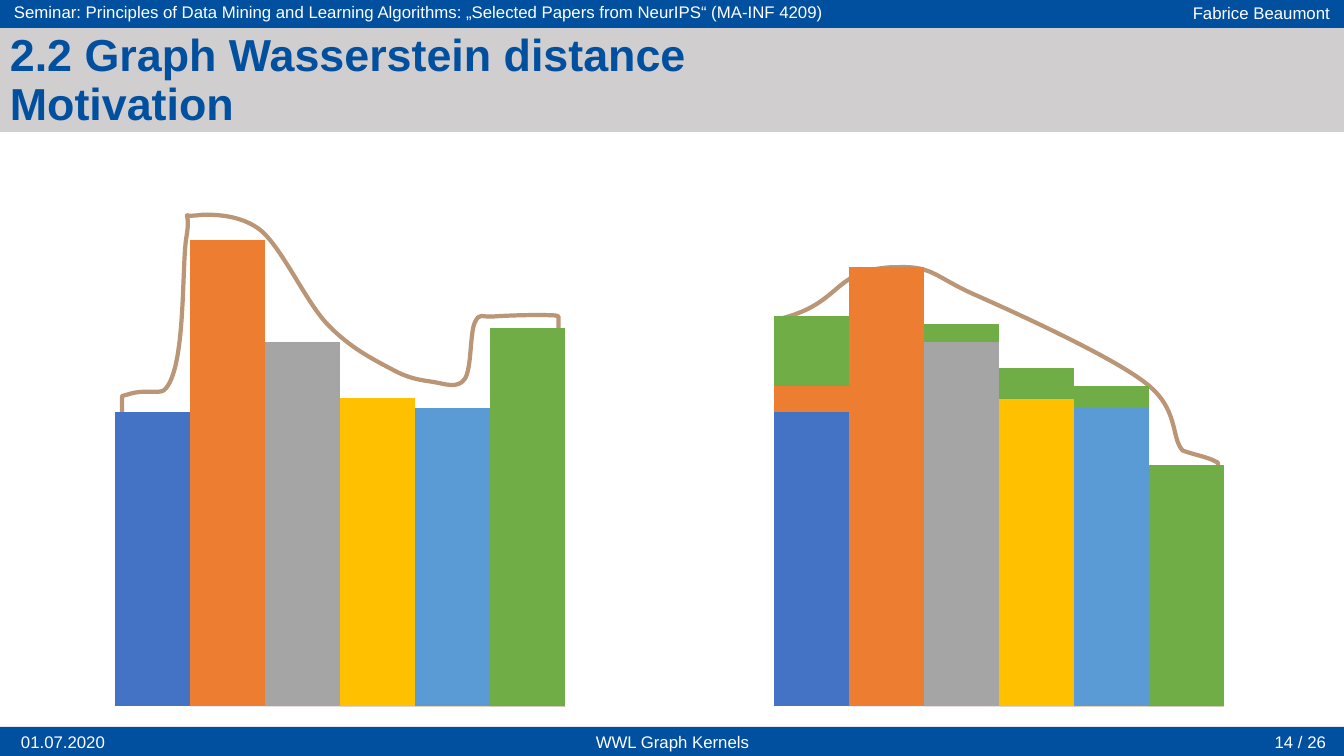
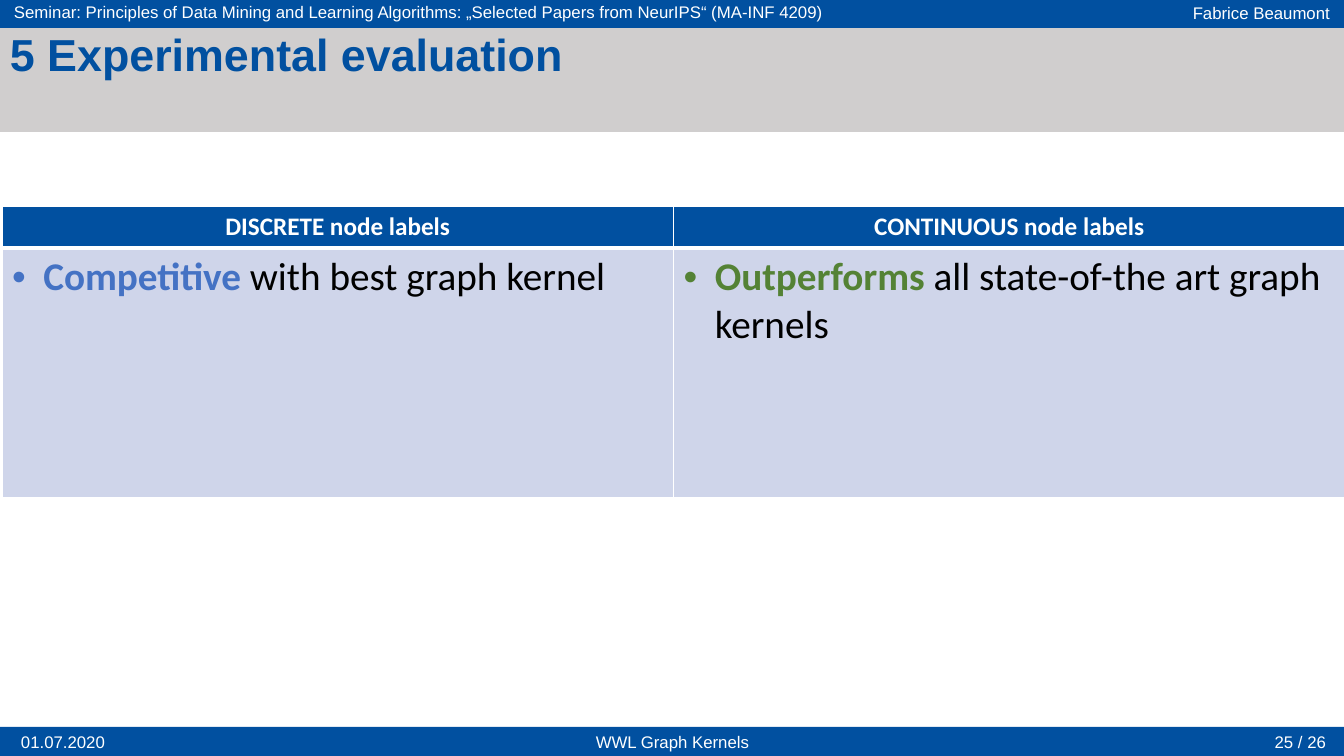
from pptx import Presentation
from pptx.chart.data import CategoryChartData as ChartData
from pptx.dml.color import RGBColor
from pptx.enum.chart import XL_CHART_TYPE as Kind
from pptx.enum.shapes import MSO_SHAPE as Shape
from pptx.enum.text import MSO_ANCHOR as Anchor, PP_ALIGN as Align
from pptx.oxml import parse_xml
from pptx.oxml.ns import nsdecls, qn
from pptx.util import Inches, Pt

BLUE, GREY, WHITE, BLACK = "0150A0", "D0CECE", "FFFFFF", "000000"
TAN, PALE = "BA9576", "CFD5EA"
rgb = RGBColor.from_string


def paint(fill, tone):
    fill.solid()
    fill.fore_color.rgb = rgb(tone)


def label(slide, text, at, align, size=12, tone=WHITE):
    box = slide.shapes.add_textbox(*map(Inches, at))
    frame = box.text_frame
    frame.word_wrap = True
    frame.vertical_anchor = Anchor.MIDDLE
    para = frame.paragraphs[0]
    para.text = text
    para.alignment = align
    font = para.font
    font.name, font.size = "Arial", Pt(size)
    font.color.rgb = rgb(tone)
    return frame


deck = Presentation()
deck.slide_width, deck.slide_height = Inches(13.33), Inches(7.5)

# Shared frame: bands, header, footer, title
BANDS = [(7.21, 0.29, BLUE), (-0.01, 0.29, BLUE), (0.28, 1.03, GREY)]
NOTES = [
    ("Fabrice Beaumont", (10.41, -0.02, 2.88, 0.29), Align.RIGHT),
    ("01.07.2020", (0.02, 7.21, 1.21, 0.29), Align.CENTER),
    ("WWL Graph Kernels", (5.23, 7.21, 2.88, 0.29), Align.CENTER),
    ("Seminar: Principles of Data Mining and Learning Algorithms: "
     "„Selected Papers from NeurIPS“ (MA-INF 4209)",
     (0.04, -0.03, 8.25, 0.29), Align.LEFT),
]
HEADS = [("2.2 Graph Wasserstein distance\nMotivation", 14),
         ("5 Experimental evaluation", 25)]

slides = []
for head, page in HEADS:
    slide = deck.slides.add_slide(deck.slide_layouts[6])
    for top, high, tone in BANDS:
        band = slide.shapes.add_shape(
            Shape.RECTANGLE, 0, Inches(top), deck.slide_width, Inches(high))
        band.shadow.inherit = False
        paint(band.fill, tone)
        band.line.fill.background()
    for text, at, align in NOTES:
        label(slide, text, at, align)
    title = label(slide, head, (0, 0.28, 11.5, 0.53), Align.LEFT, 32, BLUE)
    title.vertical_anchor = Anchor.TOP
    title.paragraphs[0].line_spacing = 0.9
    title.paragraphs[0].font.bold = True
    label(slide, f"{page} / 26", (12.34, 7.21, 0.91, 0.29), Align.RIGHT)
    slides.append(slide)
motive, result = slides

# Outlines: a start, then lines (x, y) and cubic curves (two handles, end)
RIGHT = [
    (8.92, 2.65), (9.25, 2.64, 9.28, 2.75, 9.66, 2.92),
    (10.09, 3.11, 11.01, 3.53, 11.35, 3.79),
    (11.7, 4.05, 11.61, 4.34, 11.73, 4.47),
    (11.84, 4.51, 11.96, 4.53, 12.04, 4.57),
    (12.08, 4.59), (12.08, 6.97), (7.75, 6.97), (7.75, 3.16), (7.82, 3.14),
    (8.32, 2.99, 8.29, 2.71, 8.75, 2.66),
    (8.81, 2.65, 8.87, 2.65, 8.92, 2.65),
]
LEFT = [
    (2.04, 2.13), (2.19, 2.13, 2.41, 2.15, 2.58, 2.28),
    (2.8, 2.46, 3.03, 2.99, 3.25, 3.22),
    (3.47, 3.45, 3.71, 3.57, 3.88, 3.66),
    (4.06, 3.76, 4.17, 3.77, 4.3, 3.79),
    (4.42, 3.81, 4.54, 3.86, 4.61, 3.76),
    (4.68, 3.66, 4.66, 3.31, 4.71, 3.2),
    (4.76, 3.1, 4.76, 3.15, 4.9, 3.14),
    (5.02, 3.13, 5.36, 3.12, 5.51, 3.13),
    (5.54, 3.14), (5.54, 6.97), (1.21, 6.97), (1.21, 3.93), (1.28, 3.91),
    (1.44, 3.86, 1.59, 3.91, 1.63, 3.87),
    (1.85, 3.67, 1.8, 2.63, 1.85, 2.35),
    (1.9, 2.06, 1.79, 2.15, 1.91, 2.14),
    (1.95, 2.14, 1.99, 2.13, 2.04, 2.13),
]
TONES = ["4472C4", "ED7D31", "A5A5A5", "FFC000", "5B9BD5", "70AD47"]

# Each graph: chart left, axis top, outline, stacked values
GRAPHS = [
    (7.58, 127.5, RIGHT, [
        (67, 0, 0, 0, 0, 0), (6, 100, 0, 0, 0, 0), (0, 0, 83, 0, 0, 0),
        (0, 0, 0, 70, 0, 0), (0, 0, 0, 0, 68, 0), (16, 0, 4, 7, 5, 55)]),
    (1.05, 120, LEFT, [
        (63, 0, 0, 0, 0, 0), (0, 100, 0, 0, 0, 0), (0, 0, 78, 0, 0, 0),
        (0, 0, 0, 66, 0, 0), (0, 0, 0, 0, 64, 0), (0, 0, 0, 0, 0, 81)]),
]
PLOT = {"x": 0.02, "y": 0.043, "w": 0.96, "h": 0.936}

for left, peak, route, stacks in GRAPHS:
    # Outline behind the bars
    pen = motive.shapes.build_freeform(*map(Inches, route[0]))
    pen.add_line_segments([tuple(map(Inches, leg[-2:])) for leg in route[1:]])
    curve = pen.convert_to_shape()
    curve.shadow.inherit = False
    curve.fill.background()
    curve.line.color.rgb = rgb(TAN)
    curve.line.width = Pt(3)

    # Bend the legs that have handles
    lines = list(curve._element.iter(qn("a:lnTo")))
    for line, leg in zip(lines, route[1:]):
        if len(leg) == 6:
            dots = "".join(
                f'<a:pt x="{Inches(x) - curve.left}" y="{Inches(y) - curve.top}"/>'
                for x, y in zip(leg[::2], leg[1::2]))
            line.getparent().replace(line, parse_xml(
                f'<a:cubicBezTo {nsdecls("a")}>{dots}</a:cubicBezTo>'))

    # Stacked bars
    data = ChartData()
    data.categories = ["1", "2", "3", "4", "5", "6"]
    for num, stack in enumerate(stacks, 1):
        data.add_series(f"Series {num}", stack)
    chart = motive.shapes.add_chart(
        Kind.COLUMN_STACKED, Inches(left), Inches(1.2),
        Inches(4.65), Inches(5.93), data).chart
    chart.has_legend = chart.has_title = False
    chart.font.name, chart.font.size = "Calibri", Pt(10)
    chart.font.color.rgb = rgb(BLACK)
    axis = chart.value_axis
    axis.has_major_gridlines = False
    axis.minimum_scale, axis.maximum_scale = 0, peak
    axis.visible = chart.category_axis.visible = False
    plot = chart.plots[0]
    plot.vary_by_categories = False
    plot.gap_width, plot.overlap = 0, 100
    for row, tone in zip(plot.series, TONES):
        paint(row.format.fill, tone)

    # Fixed plot area
    area = chart.element.find(".//" + qn("c:plotArea"))
    for old in area.findall(qn("c:layout")):
        area.remove(old)
    marks = "".join(f'<c:{k}Mode val="edge"/>' for k in "xy")
    marks += "".join(f'<c:{k} val="{v}"/>' for k, v in PLOT.items())
    area.insert(0, parse_xml(
        f'<c:layout {nsdecls("c")}><c:manualLayout>'
        f'<c:layoutTarget val="inner"/>{marks}</c:manualLayout></c:layout>'))

# Table of results
HIGHS = [0.41, 2.48]
CELLS = [
    ("DISCRETE node labels", "Competitive", "4472C4",
     " with best graph kernel"),
    ("CONTINUOUS node labels", "Outperforms", "548235",
     " all state-of-the art graph kernels"),
]
grid = result.shapes.add_table(
    2, 2, Inches(0.02), Inches(2.05), Inches(13.32), Inches(sum(HIGHS))).table
for row, high in zip(grid.rows, HIGHS):
    row.height = Inches(high)

for col, (head, key, tone, rest) in enumerate(CELLS):
    top, body = grid.cell(0, col), grid.cell(1, col)
    for cell, back, edges in ((top, BLUE, (1, 1, 1, 3)),
                              (body, PALE, (1, 1, 3, 1))):
        props = cell._tc.get_or_add_tcPr()
        for side, wide in zip("LRTB", edges):
            props.append(parse_xml(
                f'<a:ln{side} {nsdecls("a")} w="{Pt(wide)}"><a:solidFill>'
                f'<a:srgbClr val="{WHITE}"/></a:solidFill></a:ln{side}>'))
        paint(cell.fill, back)

    para = top.text_frame.paragraphs[0]
    para.text = head
    para.alignment = Align.CENTER
    para.font.name, para.font.size = "Calibri", Pt(18)
    para.font.bold = True
    para.font.color.rgb = rgb(WHITE)

    para = body.text_frame.paragraphs[0]
    props = para._p.get_or_add_pPr()
    props.set("marL", str(Inches(0.31)))
    props.set("indent", str(-Inches(0.31)))
    for part in (f'<a:buClr {nsdecls("a")}><a:srgbClr val="{tone}"/></a:buClr>',
                 f'<a:buFont {nsdecls("a")} typeface="Arial"/>',
                 f'<a:buChar {nsdecls("a")} char="•"/>'):
        props.append(parse_xml(part))
    para.font.name, para.font.size = "Calibri", Pt(28)
    for text, ink, bold in ((key, tone, True), (rest, BLACK, False)):
        run = para.add_run()
        run.text = text
        run.font.bold = bold
        run.font.color.rgb = rgb(ink)

deck.save("out.pptx")
